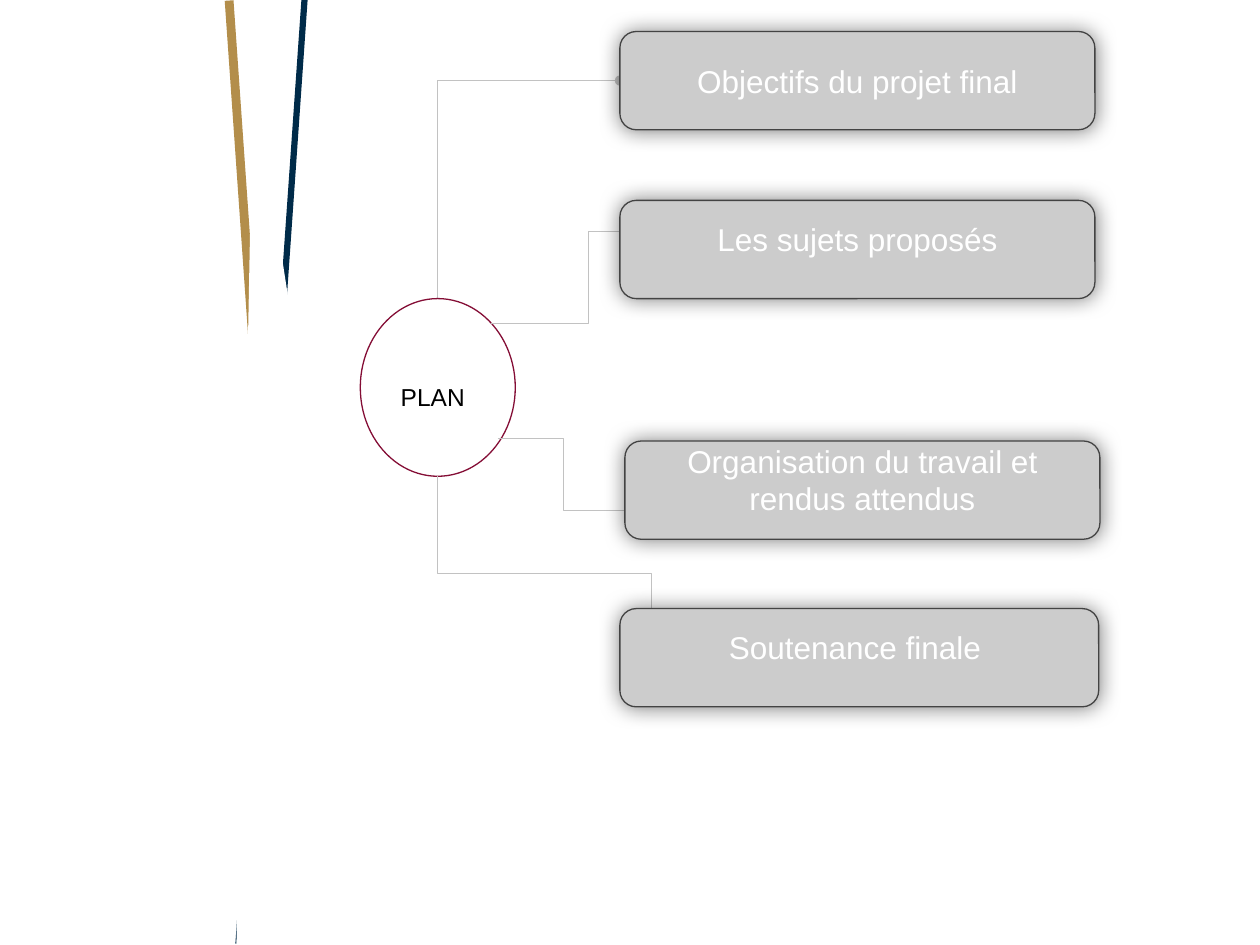
import dataclasses

import lxml.etree
import pptx
import pptx.dml.color
import pptx.enum.shapes
import pptx.enum.text
import pptx.oxml
import pptx.oxml.ns
import pptx.util

Inches = pptx.util.Inches
Pt = pptx.util.Pt
qn = pptx.oxml.ns.qn
MSO_SHAPE = pptx.enum.shapes.MSO_SHAPE
PP_ALIGN = pptx.enum.text.PP_ALIGN
MSO_ANCHOR = pptx.enum.text.MSO_ANCHOR


@dataclasses.dataclass(frozen=True)
class Theme:
    font: str = "Arial"
    navy: str = "002B49"
    gold: str = "B38E4B"
    white: str = "FFFFFF"
    black: str = "000000"
    box: str = "CCCCCC"
    box_line: str = "434343"
    hub_line: str = "840D35"
    link: str = "C2C2C2"
    topic_size: int = 18
    hub_size: int = 14
    thin: float = 0.75


class Deck:
    def __init__(self, theme):
        self.theme = theme
        self.prs = pptx.Presentation()
        self.prs.slide_width = Inches(10)
        self.prs.slide_height = Inches(7.5)
        self.s = self.prs.slides.add_slide(self.prs.slide_layouts[5])

    def color(self, value):
        return pptx.dml.color.RGBColor.from_string(value)

    def shape(self, kind, x, y, w, h, fill, line=None, width=0.75, rotation=0):
        sp = self.s.shapes.add_shape(kind, Inches(x), Inches(y), Inches(w), Inches(h))
        sp.shadow.inherit = False
        sp.rotation = rotation
        sp.fill.solid()
        sp.fill.fore_color.rgb = self.color(fill)
        if line:
            sp.line.color.rgb = self.color(line)
            sp.line.width = Pt(width)
        else:
            sp.line.fill.background()
        return sp

    def text(self, sp, text, size, color, align, anchor, insets):
        tf = sp.text_frame
        tf.word_wrap = True
        tf.auto_size = pptx.enum.text.MSO_AUTO_SIZE.NONE
        tf.vertical_anchor = anchor
        tf.margin_left = tf.margin_right = Inches(0.1)
        tf.margin_top, tf.margin_bottom = (Inches(v) for v in insets)
        p = tf.paragraphs[0]
        p.alignment = align
        r = p.add_run()
        r.text = text
        r.font.name = self.theme.font
        r.font.size = Pt(size)
        r.font.color.rgb = self.color(color)

    def topic(self, text, x, y, w, lift):
        t = self.theme
        sp = self.shape(MSO_SHAPE.ROUNDED_RECTANGLE, x, y, w, 0.78,
                        t.box, t.box_line, t.thin)
        effects = sp.element.spPr.find(qn("a:effectLst"))
        glow = lxml.etree.SubElement(effects, qn("a:outerShdw"),
                                     blurRad=str(Pt(12.4)), dist="0", dir="0",
                                     algn="ctr", rotWithShape="0")
        tint = lxml.etree.SubElement(glow, qn("a:srgbClr"), val=t.black)
        lxml.etree.SubElement(tint, qn("a:alpha"), val="50000")
        self.text(sp, text, t.topic_size, t.white, PP_ALIGN.CENTER,
                  MSO_ANCHOR.MIDDLE, (0, lift))

    def title(self, text, x, y, w, h):
        sp = self.s.shapes.title
        sp.left, sp.top, sp.width, sp.height = (Inches(v) for v in (x, y, w, h))
        self.text(sp, text, self.theme.hub_size, self.theme.black,
                  PP_ALIGN.LEFT, MSO_ANCHOR.TOP, (0.1, 0.1))
        sp.element.getparent().append(sp.element)

    def elbow(self, start, end, bend=0.5, vertical=False, corner=False, dot=False):
        (x1, y1), (x2, y2) = start, end
        rotation = 0
        if vertical:
            cx, cy = (x1 + x2) / 2, (y1 + y2) / 2
            half_w = abs(y2 - y1) / 2
            half_h = (x2 - x1) / 2 * (1 if y2 < y1 else -1)
            rotation = 90 if y2 < y1 else 270
            x1, y1 = cx + half_w, cy + half_h
            x2, y2 = cx - half_w, cy - half_h
        link = self.s.shapes.add_connector(
            pptx.enum.shapes.MSO_CONNECTOR.ELBOW,
            Inches(x1), Inches(y1), Inches(x2), Inches(y2))
        link.line.color.rgb = self.color(self.theme.link)
        link.line.width = Pt(self.theme.thin)
        spPr = link.element.spPr
        if rotation:
            spPr.find(qn("a:xfrm")).set("rot", str(rotation * 60000))
        geometry = spPr.find(qn("a:prstGeom"))
        if corner:
            geometry.set("prst", "bentConnector2")
        elif bend != 0.5:
            guides = geometry.find(qn("a:avLst"))
            lxml.etree.SubElement(guides, qn("a:gd"), name="adj1",
                                  fmla=f"val {round(bend * 100000)}")
        if dot:
            lxml.etree.SubElement(spPr.find(qn("a:ln")), qn("a:tailEnd"), type="oval")
        lxml.etree.SubElement(spPr, qn("a:effectLst"))


def main():
    t = Theme()
    deck = Deck(t)

    deck.shape(MSO_SHAPE.RECTANGLE, -1.6, 3.72, 7.51, 0.05, t.navy, rotation=274)
    deck.shape(MSO_SHAPE.RECTANGLE, -1.67, 3.71, 7.5, 0.07, t.gold, rotation=266)
    wedge = deck.shape(MSO_SHAPE.ISOSCELES_TRIANGLE, 1.89, 0.73, 1.18, 6.77,
                       t.white, t.white, 2)
    wedge.adjustments[0] = 0.11

    deck.elbow((3.47, 2.37), (4.92, 0.64), vertical=True, corner=True, dot=True)
    deck.shape(MSO_SHAPE.OVAL, 2.86, 2.37, 1.23, 1.41, t.white, t.hub_line, t.thin)
    deck.elbow((3.95, 3.48), (5, 4.05))
    deck.elbow((3.9, 2.57), (5.05, 1.84), bend=0.67)
    deck.elbow((3.47, 3.78), (5.17, 5.11), bend=0.58, vertical=True)
    deck.title("PLAN", 3.08, 2.93, 0.78, 0.43)

    topics = [
        ("Objectifs du projet final", 4.92, 0.25, 3.77, 0),
        ("Les sujets proposés", 4.92, 1.59, 3.77, 0.17),
        ("Organisation du travail et rendus attendus", 4.96, 3.5, 3.77, 0.17),
        ("Soutenance finale ", 4.92, 4.83, 3.8, 0.17),
    ]
    for topic in topics:
        deck.topic(*topic)

    deck.prs.save("out.pptx")


if __name__ == "__main__":
    main()
